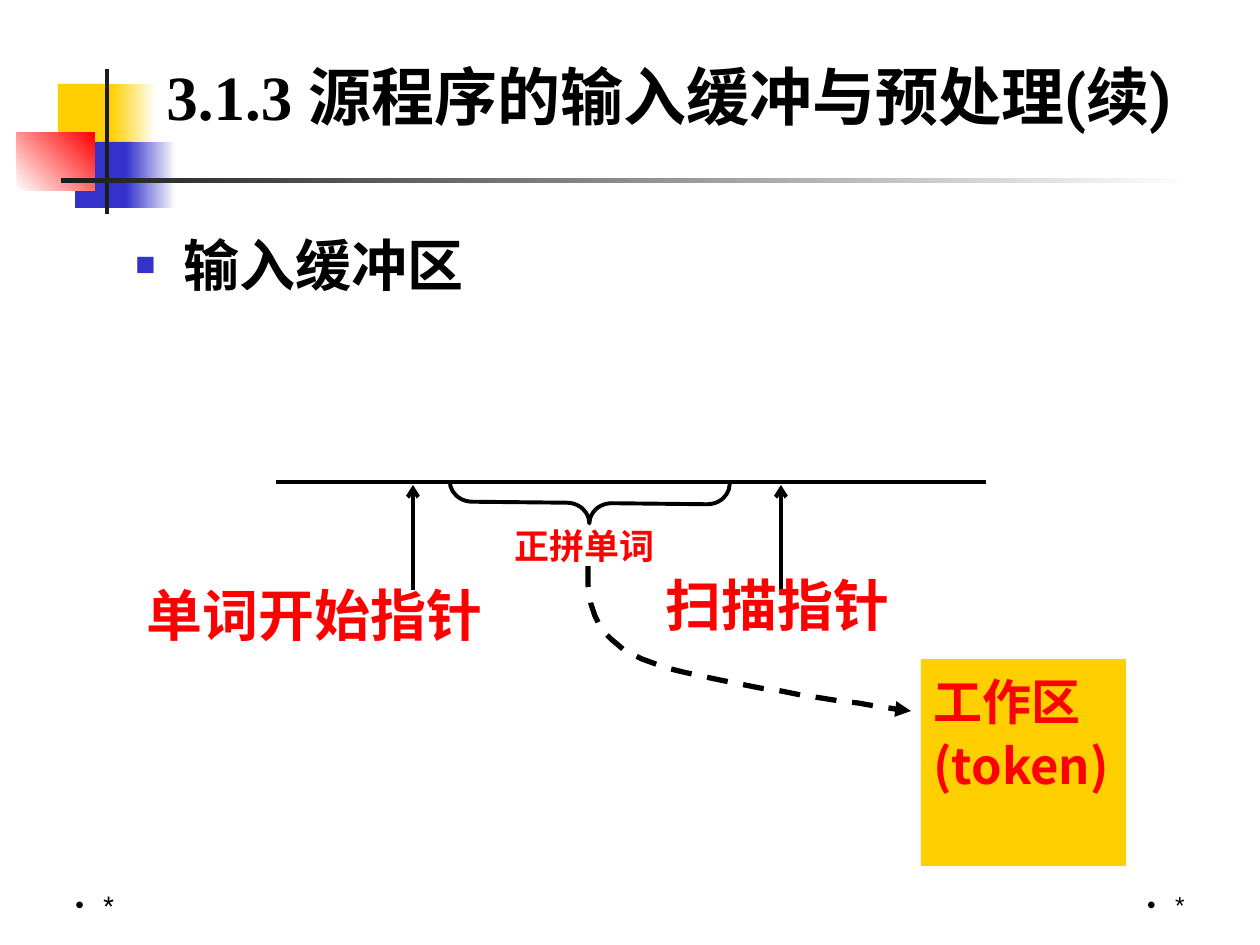
from pptx import Presentation
from pptx.dml.color import RGBColor
from pptx.enum.dml import MSO_LINE
from pptx.enum.shapes import MSO_CONNECTOR as Connector, MSO_SHAPE as Shape
from pptx.enum.text import MSO_ANCHOR as Anchor, PP_ALIGN as Align
from pptx.oxml import parse_xml
from pptx.oxml.ns import nsdecls
from pptx.util import Pt

PX = 914400 / 126
BLACK = RGBColor(0, 0, 0)
WHITE = RGBColor(255, 255, 255)
CHARCOAL = RGBColor(0x1C, 0x1C, 0x1C)
YELLOW = RGBColor(0xFF, 0xCF, 0x01)
BLUE = RGBColor(0x33, 0x33, 0xCC)
RED = RGBColor(255, 0, 0)
SERIF, SANS, CJK = "Times New Roman", "Roboto", "Noto Sans CJK SC"


def emu(*lengths):
    return [round(length * PX) for length in lengths]


def element(tag, content=""):
    return parse_xml(f"<a:{tag} {nsdecls('a')}{content}")


def bezier(start, control_1, control_2, end, steps=16):
    """Points along a cubic curve, without its start."""
    points = []
    for step in range(1, steps + 1):
        t = step / steps
        weights = ((1 - t) ** 3, 3 * t * (1 - t) ** 2, 3 * t * t * (1 - t), t ** 3)
        corners = (start, control_1, control_2, end)
        points.append(tuple(sum(w * c[axis] for w, c in zip(weights, corners)) for axis in (0, 1)))
    return points


class SlideBuilder:
    def __init__(self, slide):
        self.slide = slide

    def rectangle(self, box, color, fade_to=None, angle=0):
        shape = self.slide.shapes.add_shape(Shape.RECTANGLE, *emu(*box))
        shape.shadow.inherit = False
        shape.line.fill.background()
        if fade_to is None:
            shape.fill.solid()
            shape.fill.fore_color.rgb = color
        else:
            shape.fill.gradient()
            shape.fill.gradient_angle = angle
            for stop, stop_color in zip(shape.fill.gradient_stops, (color, fade_to)):
                stop.color.rgb = stop_color
        return shape

    def set_text(self, shape, runs, size, color=RED, bold=True, before=0, spacing=None,
                 align=Align.LEFT, anchor=Anchor.TOP):
        """Fill a shape with one paragraph made of (text, font) runs."""
        frame = shape.text_frame
        frame.word_wrap = True
        frame.vertical_anchor = anchor
        paragraph = frame.paragraphs[0]
        paragraph.alignment = align
        paragraph.space_before = Pt(before)
        if spacing:
            paragraph.line_spacing = spacing
        for text, font_name in runs:
            run = paragraph.add_run()
            run.text = text
            run.font.name = font_name
            run.font.size = Pt(size)
            run.font.bold = bold
            run.font.color.rgb = color
            run.font._element.find("{*}latin").addnext(element("ea", f' typeface="{CJK}"/>'))
        return paragraph

    def text(self, box, runs, size, **style):
        return self.set_text(self.slide.shapes.add_textbox(*emu(*box)), runs, size, **style)

    def bullet(self, paragraph, mark, indent, color, percent=100):
        properties = paragraph._p.get_or_add_pPr()
        margin, = emu(indent)
        properties.set("marL", str(margin))
        properties.set("indent", str(-margin))
        properties.append(element("buClr", f'><a:srgbClr val="{color}"/></a:buClr>'))
        properties.append(element("buSzPct", f' val="{percent * 1000}"/>'))
        properties.append(element("buFont", ' typeface="Arial"/>'))
        properties.append(element("buChar", f' char="{mark}"/>'))

    def stroke(self, shape, width, arrow=None, dash=None):
        line = shape.line
        line.color.rgb = BLACK
        line.width = Pt(width)
        if dash:
            line.dash_style = dash
        if arrow:
            line._get_or_add_ln().append(element("tailEnd", f' type="{arrow}"/>'))

    def line(self, start, end, arrow=None):
        connector = self.slide.shapes.add_connector(Connector.STRAIGHT, *emu(*start, *end))
        self.stroke(connector, 2.25, arrow)
        connector._element.spPr.append(element("effectLst", "/>"))

    def brace(self, box, rotation, curl):
        shape = self.slide.shapes.add_shape(Shape.RIGHT_BRACE, *emu(*box))
        shape.shadow.inherit = False
        shape.fill.background()
        shape.rotation = rotation
        shape.adjustments[0] = curl
        self.stroke(shape, 2.25)

    def dashed_arrow(self, start, *curves):
        builder = self.slide.shapes.build_freeform(*start, scale=PX)
        for curve in curves:
            points = bezier(start, *curve)
            builder.add_line_segments(points, close=False)
            start = points[-1]
        shape = builder.convert_to_shape()
        shape.shadow.inherit = False
        shape.fill.background()
        self.stroke(shape, 3, "triangle", MSO_LINE.DASH)


def main():
    presentation = Presentation()
    presentation.slide_width, presentation.slide_height = emu(1260, 945)
    builder = SlideBuilder(presentation.slides.add_slide(presentation.slide_layouts[6]))

    # Decoration beside the title
    builder.rectangle((58, 84, 60, 66), YELLOW)
    builder.rectangle((111, 84, 45, 66), YELLOW, WHITE)
    builder.rectangle((75, 142, 58, 66), BLUE)
    builder.rectangle((126, 142, 50, 66), BLUE, WHITE)
    builder.rectangle((17, 132, 78, 59), WHITE, RED, angle=45)
    builder.rectangle((105, 69, 4, 145), CHARCOAL)
    builder.rectangle((61, 178, 1134, 5), CHARCOAL, WHITE)

    for left, align, font in ((63, Align.LEFT, SANS), (903, Align.RIGHT, "Arial")):
        footer = builder.text((left, 861, 294, 65), [("*", font)], 14, color=BLACK,
                              bold=False, align=align, anchor=Anchor.BOTTOM)
        builder.bullet(footer, "•", 28, BLACK)

    builder.text((154, 35, 1106, 121), [("3.1.3 ", SERIF), ("源程序的输入缓冲与预处理(续)", SANS)],
                 36, color=BLACK, anchor=Anchor.MIDDLE)
    heading = builder.text((123, 224, 1110, 202), [("输入缓冲区", SANS)], 32, color=BLACK, before=8)
    builder.bullet(heading, "■", 48, BLUE, 60)

    # Input buffer with its two pointers
    builder.line((276, 482), (986, 482))
    for x in (413, 781):
        builder.line((x, 590), (x, 485), "arrow")
    builder.brace((569, 363, 41, 280), 90.6, 0.55)

    work_area = builder.rectangle((921, 659, 205, 207), YELLOW)
    builder.set_text(work_area, [("工作区(token)", CJK)], 28, before=17.5, spacing=1.1)
    builder.dashed_arrow((588, 566), ((588, 600), (588, 635), (642, 659)),
                         ((696, 683), (868, 704), (911, 711)))

    labels = (((134, 568, 372, 87), "单词开始指针", 32, 8),
              ((653, 558, 251, 87), "扫描指针", 32, 8),
              ((502, 514, 191, 59), "正拼单词", 20, 5))
    for box, label, size, before in labels:
        builder.text(box, [(label, SERIF)], size, before=before, spacing=1.1)

    presentation.save("out.pptx")


if __name__ == "__main__":
    main()
